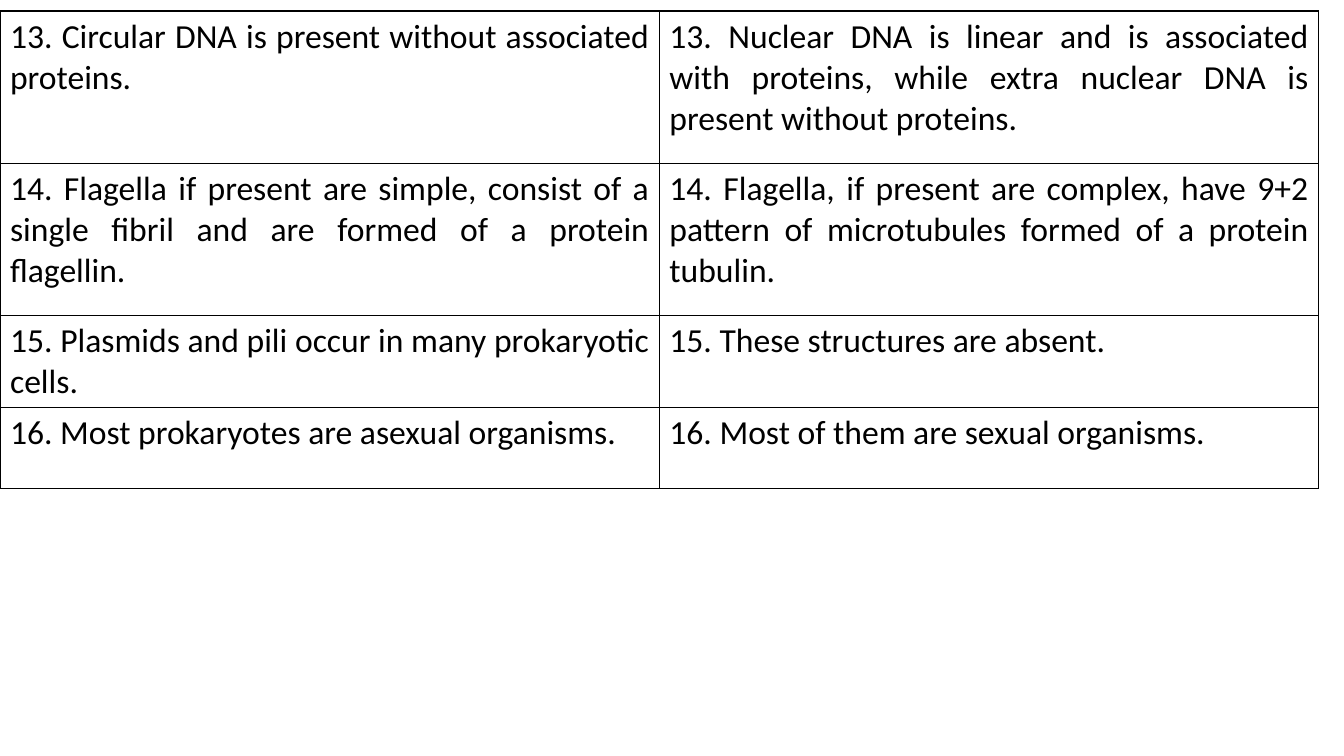
from lxml import etree
from pptx import Presentation
from pptx.dml.color import RGBColor
from pptx.enum.text import PP_ALIGN
from pptx.oxml.ns import qn
from pptx.util import Inches, Pt

JUSTIFY = PP_ALIGN.JUSTIFY
BLACK = RGBColor(0x00, 0x00, 0x00)
FONT = "Calibri"

# Prokaryotic feature, eukaryotic feature, row height in inches
COMPARISON = [
    ("13. Circular DNA is present without associated proteins.",
     "13. Nuclear DNA is linear and is associated with proteins, "
     "while extra nuclear DNA is present without proteins.", 1.51),
    ("14. Flagella if present are simple, consist of a single fibril "
     "and are formed of a protein flagellin.",
     "14. Flagella, if present are complex, have 9+2 pattern of "
     "microtubules formed of a protein tubulin.", 1.51),
    ("15. Plasmids and pili occur in many prokaryotic cells.",
     "15. These structures are absent.", 0.84),
    ("16. Most prokaryotes are asexual organisms.",
     "16. Most of them are sexual organisms.", 0.8),
]


def write_text(frame, text, *, size=24, color=BLACK, align=JUSTIFY):
    paragraph = frame.paragraphs[0]
    paragraph.alignment = align
    run = paragraph.add_run()
    run.text = text
    run.font.name = FONT
    run.font.size = Pt(size)
    run.font.color.rgb = color


def set_borders(cell, color=BLACK, width=1):
    properties = cell._tc.get_or_add_tcPr()
    for position, side in enumerate(("a:lnL", "a:lnR", "a:lnT", "a:lnB")):
        border = etree.Element(qn(side), w=str(Pt(width)))
        fill = etree.SubElement(border, qn("a:solidFill"))
        etree.SubElement(fill, qn("a:srgbClr"), val=str(color))
        properties.insert(position, border)


def add_comparison(slide, left, top, width):
    height = sum(row_height for *_, row_height in COMPARISON)
    table = slide.shapes.add_table(
        len(COMPARISON), 2, Inches(left), Inches(top),
        Inches(width), Inches(height)).table
    table.first_row = False
    table.horz_banding = False
    for column in table.columns:
        column.width = Inches(width / 2)

    # Rows of paired features
    for row, (*features, row_height) in enumerate(COMPARISON):
        table.rows[row].height = Inches(row_height)
        for column, feature in enumerate(features):
            cell = table.cell(row, column)
            cell.fill.background()
            set_borders(cell)
            write_text(cell.text_frame, feature)


def main():
    presentation = Presentation()
    presentation.slide_width = Inches(13.33)
    presentation.slide_height = Inches(7.5)
    slide = presentation.slides.add_slide(presentation.slide_layouts[6])
    add_comparison(slide, 0, 0.11, 13.08)
    presentation.save("out.pptx")


if __name__ == "__main__":
    main()
